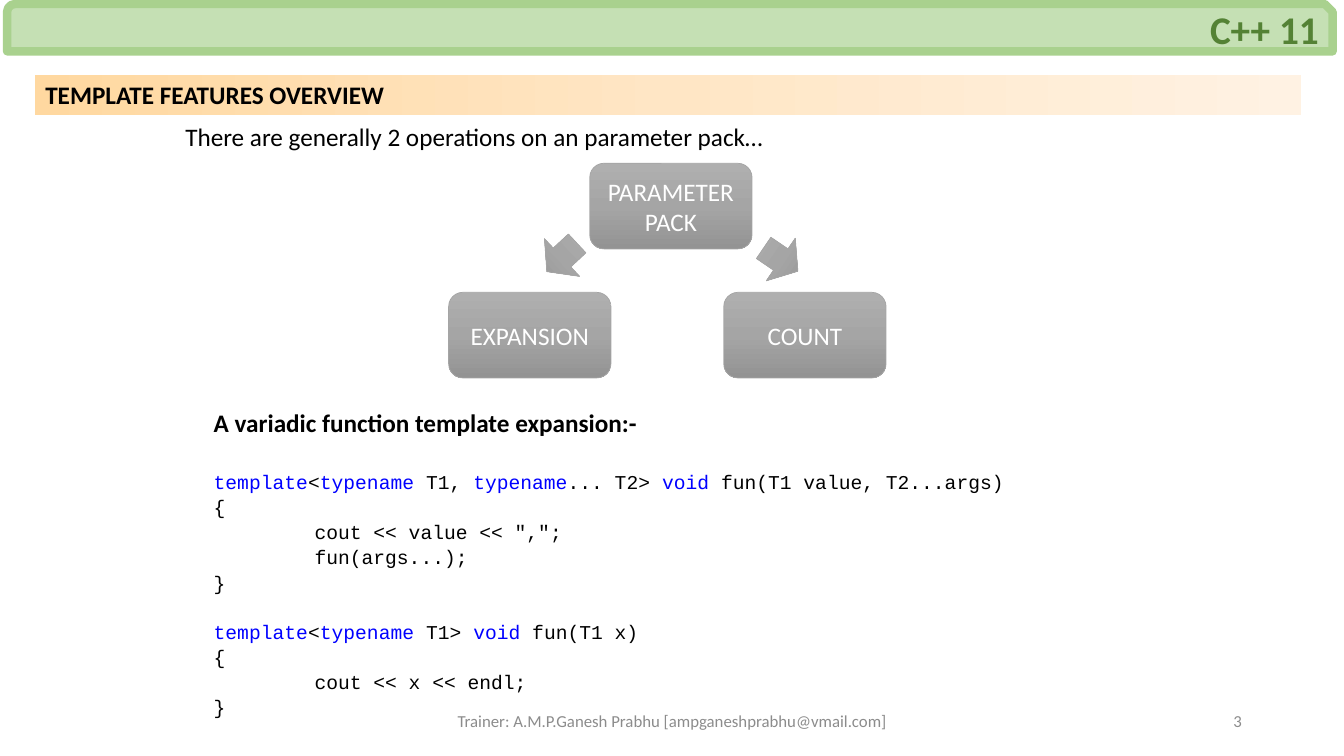
from copy import deepcopy

from lxml.etree import SubElement
from pptx import Presentation
from pptx.dml.color import RGBColor
from pptx.enum.shapes import MSO_SHAPE as Preset
from pptx.enum.text import MSO_ANCHOR as Anchor, MSO_AUTO_SIZE as AutoSize, PP_ALIGN as Align
from pptx.oxml.ns import qn
from pptx.util import Inches, Pt

WIDTH, HEIGHT = Inches(13.33), Inches(7.5)

BLACK = RGBColor(0x00, 0x00, 0x00)
WHITE = RGBColor(0xFF, 0xFF, 0xFF)
KEYWORD_BLUE = RGBColor(0x00, 0x00, 0xFF)
FOOTER_GRAY = RGBColor(0x8C, 0x8C, 0x8C)
NODE_GRAY = RGBColor(0xA5, 0xA5, 0xA5)
BANNER_FILL = RGBColor(0xC5, 0xE0, 0xB4)
BANNER_LINE = RGBColor(0xA9, 0xD1, 0x8E)
BANNER_TEXT = RGBColor(0x54, 0x82, 0x35)
GRAY_FADE = (RGBColor(0xAF, 0xAF, 0xAF), NODE_GRAY, RGBColor(0x93, 0x93, 0x93))
ORANGE_FADE = (RGBColor(0xFF, 0xD8, 0xA0), RGBColor(0xFF, 0xE6, 0xC5), RGBColor(0xFF, 0xF2, 0xE3))

KEYWORDS = {"template", "typename", "void"}
# Code lines: tokens split by "|", indent in inches, gap above in points
CODE = [
    ("template|<|typename| T1, |typename|... T2> |void| fun(T1 value, T2...args)", 0, 22),
    ("{", 0, 0),
    ('cout << value << ",";', 1, 0),
    ("fun(args...);", 1, 0),
    ("}", 0, 0),
    ("template|<|typename| T1> |void| fun(T1 x)", 0, 17),
    ("{", 0, 0),
    ("cout << x << endl;", 1, 0),
    ("}", 0, 0),
]


def area(left, top, width, height):
    """Turn percentages of the slide into lengths."""
    return (round(WIDTH * left / 100), round(HEIGHT * top / 100),
            round(WIDTH * width / 100), round(HEIGHT * height / 100))


def place(shape, *shares):
    shape.left, shape.top, shape.width, shape.height = area(*shares)


def write(shape, text, size=18, color=BLACK, bold=False, font="Calibri", align=Align.LEFT,
          anchor=Anchor.MIDDLE, indent=0, gap=0, spacing=1.0):
    """Add one paragraph; tokens between bars that are keywords turn blue."""
    frame = shape.text_frame
    frame.word_wrap = True
    frame.auto_size = AutoSize.NONE
    frame.vertical_anchor = anchor
    paragraph = frame.paragraphs[-1]
    if paragraph.runs:
        paragraph = frame.add_paragraph()
    paragraph.alignment = align
    paragraph.line_spacing = spacing
    paragraph.space_before = Pt(gap)
    properties = paragraph._p.get_or_add_pPr()
    properties.set("marL", str(Inches(indent)))
    properties.set("indent", "0")
    SubElement(properties, qn("a:buNone"))
    for token in text.split("|"):
        run = paragraph.add_run()
        run.text = token
        run.font.name, run.font.size, run.font.bold = font, Pt(size), bold
        run.font.color.rgb = KEYWORD_BLUE if token in KEYWORDS else color


def fade(shape, colors, angle):
    """Fill with evenly spaced gradient stops."""
    shape.fill.gradient()
    shape.fill.gradient_angle = angle
    stop_list = shape._element.spPr.find(".//" + qn("a:gsLst"))
    while len(stop_list) < len(colors):
        stop_list.append(deepcopy(stop_list[0]))
    for index, (stop, color) in enumerate(zip(shape.fill.gradient_stops, colors)):
        stop.color.rgb = color
        stop.position = index / (len(colors) - 1)


def add_preset(slide, preset, *shares, line, line_width):
    shape = slide.shapes.add_shape(preset, *area(*shares))
    shape.shadow.inherit = False
    shape.line.color.rgb = line
    shape.line.width = Pt(line_width)
    return shape


def add_label(slide, text, *shares, **text_format):
    write(slide.shapes.add_textbox(*area(*shares)), text, **text_format)


def add_node(slide, text, left, top):
    node = add_preset(slide, Preset.ROUNDED_RECTANGLE, left, top, 12.08, 11.33,
                      line=NODE_GRAY, line_width=0.5)
    fade(node, GRAY_FADE, 270)
    write(node, text, color=WHITE, align=Align.CENTER)


def add_branch_arrow(slide, left, top, rotation):
    arrow = add_preset(slide, Preset.DOWN_ARROW, left, top, 3.83, 5.47,
                       line=NODE_GRAY, line_width=0.5)
    fade(arrow, GRAY_FADE, 270)
    arrow.rotation = rotation


def main():
    deck = Presentation()
    deck.slide_width, deck.slide_height = WIDTH, HEIGHT
    slide = deck.slides.add_slide(deck.slide_layouts[1])
    heading, listing = slide.placeholders

    # Section heading and introduction
    place(heading, 2.62, 9.87, 94.2, 5.33)
    fade(heading, ORANGE_FADE, 0)
    write(heading, "TEMPLATE FEATURES OVERVIEW", bold=True)
    add_label(slide, "There are generally 2 operations on an parameter pack…",
              13.05, 15.33, 69.98, 5.33, anchor=Anchor.TOP)

    # Parameter pack diagram
    add_node(slide, "PARAMETER PACK", 43.88, 21.6)
    add_node(slide, "EXPANSION", 33.38, 38.67)
    add_node(slide, "COUNT", 53.85, 38.67)
    add_branch_arrow(slide, 39.9, 31.33, 47)
    add_branch_arrow(slide, 56.18, 31.6, 304.2)

    # Code listing
    place(listing, 15.15, 53.2, 69.68, 40.8)
    write(listing, "A variadic function template expansion:-", bold=True, anchor=Anchor.TOP)
    for line, indent, gap in CODE:
        write(listing, line, size=14, font="Courier New", anchor=Anchor.TOP,
              indent=indent, gap=gap, spacing=1.07)

    # Footer
    add_label(slide, "Trainer: A.M.P.Ganesh Prabhu [ampganeshprabhu@vmail.com]",
              33.15, 92.67, 33.75, 5.33, size=12, color=FOOTER_GRAY, align=Align.CENTER)
    add_label(slide, "3", 70.65, 92.67, 22.5, 5.33, size=12, color=FOOTER_GRAY, align=Align.RIGHT)

    # Course banner
    banner = add_preset(slide, Preset.SNIP_ROUND_RECTANGLE, 0.53, 0.53, 98.63, 6.27,
                        line=BANNER_LINE, line_width=6)
    banner.fill.solid()
    banner.fill.fore_color.rgb = BANNER_FILL
    write(banner, "C++ 11", size=28, color=BANNER_TEXT, bold=True, align=Align.RIGHT)

    deck.save("out.pptx")


if __name__ == "__main__":
    main()
